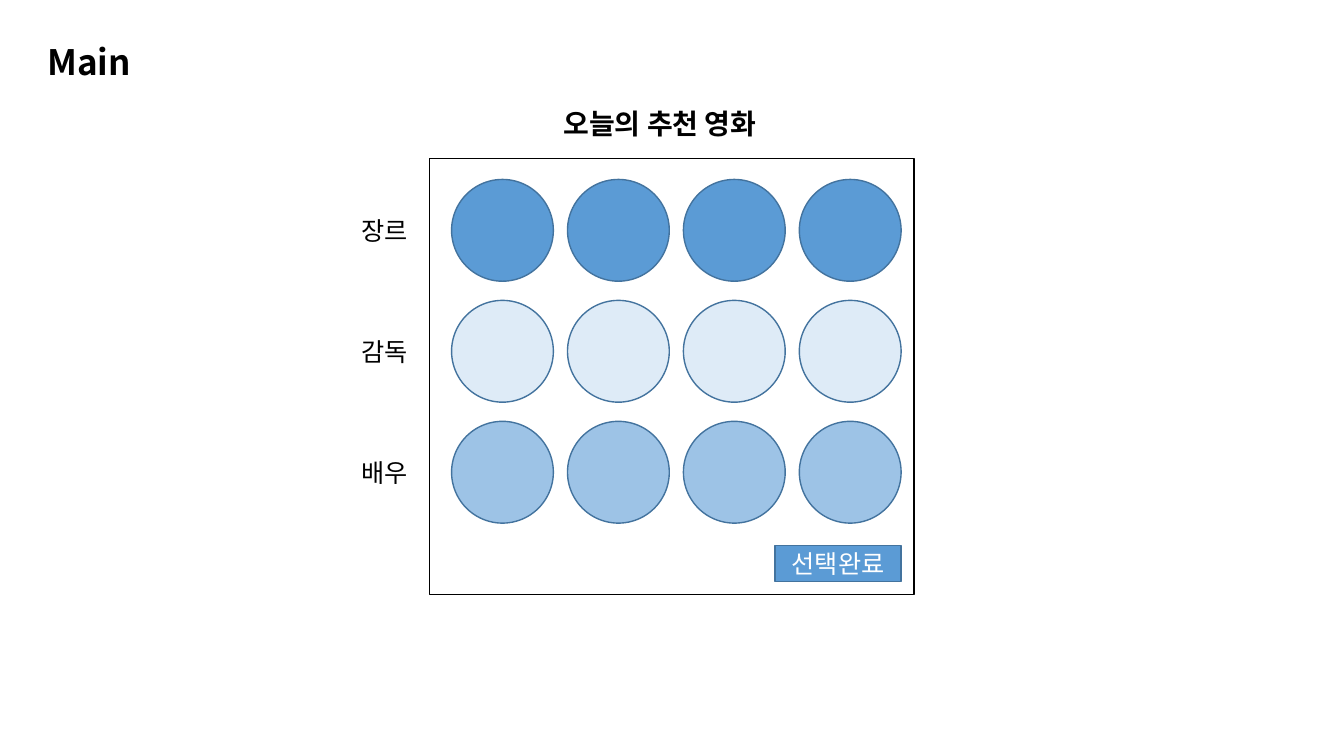
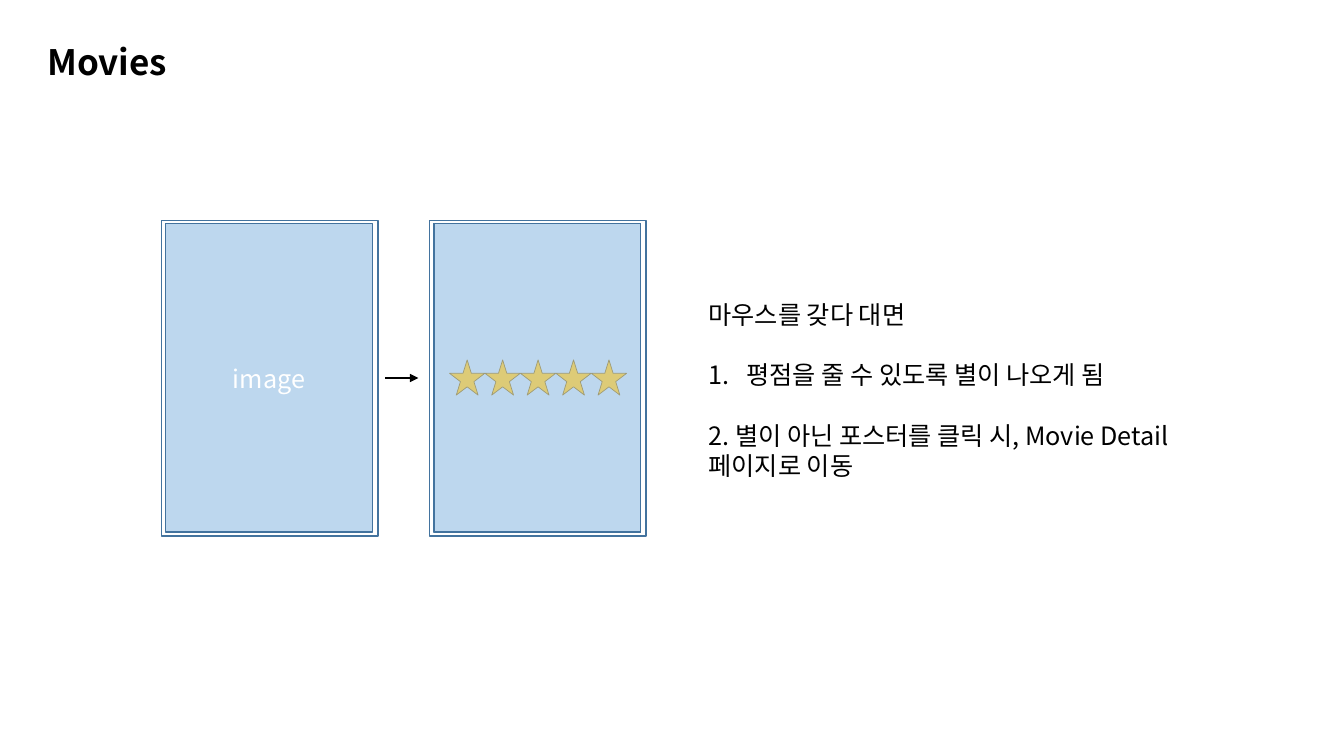
from dataclasses import dataclass

from lxml.etree import SubElement
from pptx import Presentation
from pptx.dml.color import RGBColor
from pptx.enum.shapes import MSO_CONNECTOR, MSO_SHAPE
from pptx.enum.text import MSO_ANCHOR, MSO_AUTO_SIZE, PP_ALIGN
from pptx.oxml.ns import qn
from pptx.util import Inches, Pt


@dataclass(frozen=True)
class Theme:
    """Hold the grid, colours, font and type sizes of the deck."""
    columns: int = 160
    rows: int = 90
    cell: int = Inches(1) // 12
    font: str = "Noto Sans CJK KR"
    ink: str = "000000"
    paper: str = "FFFFFF"
    outline: str = "43739E"
    strong: str = "5B9BD5"
    medium: str = "9DC3E6"
    pale: str = "DEEBF7"
    poster: str = "BDD7EE"
    star: str = "FFC000"
    star_outline: str = "806000"
    title_size: float = 25
    heading_size: float = 20
    body_size: float = 18
    paragraph_gap: float = 21.6


THEME = Theme()


def write(frame, *lines, size=THEME.body_size, color=THEME.ink, bold=False,
          align=PP_ALIGN.LEFT, anchor=MSO_ANCHOR.TOP):
    """Write each line as a paragraph and return the paragraphs."""
    frame.word_wrap = True
    frame.auto_size = MSO_AUTO_SIZE.NONE
    frame.vertical_anchor = anchor
    for index, line in enumerate(lines):
        para = frame.paragraphs[0] if index == 0 else frame.add_paragraph()
        para.alignment = align
        span = para.add_run()
        span.text = line
        span.font.size = Pt(size)
        span.font.bold = bold
        span.font.color.rgb = RGBColor.from_string(color)
        span.font.name = THEME.font
        SubElement(span._r.get_or_add_rPr(), qn("a:ea"), typeface=THEME.font)
    return frame.paragraphs


class Sketch:
    """Draw elements on the current slide, measured in square grid cells."""

    def __init__(self, theme):
        """Start an empty deck of the grid's size."""
        self.theme = theme
        self.deck = Presentation()
        self.deck.slide_width = theme.columns * theme.cell
        self.deck.slide_height = theme.rows * theme.cell
        self.page = None

    def scale(self, *cells):
        """Turn grid cells into slide units."""
        return [round(count * self.theme.cell) for count in cells]

    def add_page(self, title):
        """Add a slide with its title."""
        self.page = self.deck.slides.add_slide(self.deck.slide_layouts[5])
        box = self.page.shapes.title
        box.left, box.top, box.width, box.height = self.scale(4.44, 4.2, 40, 6.24)
        write(box.text_frame, title, size=self.theme.title_size, bold=True)

    def text(self, at, *lines, **style):
        """Add a text box and return its paragraphs."""
        box = self.page.shapes.add_textbox(*self.scale(*at))
        return write(box.text_frame, *lines, **style)

    def shape(self, kind, at, fill, line=THEME.outline, weight=1, opacity=100, label=None):
        """Add a filled, outlined shape with an optional centred label."""
        box = self.page.shapes.add_shape(kind, *self.scale(*at))
        box.shadow.inherit = False
        box.fill.solid()
        box.fill.fore_color.rgb = RGBColor.from_string(fill)
        box.line.color.rgb = RGBColor.from_string(line)
        box.line.width = Pt(weight)
        if opacity < 100:
            color = box._element.spPr.find(qn("a:solidFill"))[0]
            SubElement(color, qn("a:alpha"), val=str(opacity * 1000))
        if label:
            write(box.text_frame, label, color=self.theme.paper,
                  align=PP_ALIGN.CENTER, anchor=MSO_ANCHOR.MIDDLE)

    def arrow(self, *ends):
        """Add a straight arrow from one point to another."""
        line = self.page.shapes.add_connector(MSO_CONNECTOR.STRAIGHT, *self.scale(*ends))
        line.line.color.rgb = RGBColor.from_string(self.theme.ink)
        line.line.width = Pt(1.25)
        SubElement(line.line._get_or_add_ln(), qn("a:tailEnd"), type="triangle")
        SubElement(line._element.spPr, qn("a:effectLst"))

    def number(self, para, indent):
        """Give a paragraph an automatic number with a hanging indent."""
        width = self.scale(indent)[0]
        properties = para._p.get_or_add_pPr()
        properties.set("marL", str(width))
        properties.set("indent", str(-width))
        SubElement(properties, qn("a:buFont"), typeface=self.theme.font)
        SubElement(properties, qn("a:buAutoNum"), type="arabicPeriod")


def build_main(sketch):
    """Draw the recommendation picker."""
    theme = sketch.theme
    sketch.add_page("Main")
    sketch.shape(MSO_SHAPE.RECTANGLE, (51.12, 18.84, 57.72, 51.96), theme.paper, line=theme.ink)
    sketch.text((65.88, 12.12, 30, 5.28), "오늘의 추천 영화", size=theme.heading_size, bold=True)
    choices = [("장르", theme.strong), ("감독", theme.pale), ("배우", theme.medium)]
    for row, (name, fill) in enumerate(choices):
        top = 21.36 + 14.4 * row
        sketch.text((41.88, top + 3.66, 8.76, 4.8), name)
        for column in range(4):
            sketch.shape(MSO_SHAPE.OVAL, (53.76 + 13.8 * column, top, 12.12, 12.12), fill)
    sketch.shape(MSO_SHAPE.RECTANGLE, (92.28, 64.92, 15, 4.32), theme.strong, label="선택완료")


def build_movies(sketch):
    """Draw the poster before and after the mouse moves over it."""
    theme = sketch.theme
    sketch.add_page("Movies")
    for left, label in ((19.2, "image"), (51.12, None)):
        poster = (left + 0.54, 26.64, 24.6, 36.72)
        sketch.shape(MSO_SHAPE.RECTANGLE, (left, 26.28, 25.8, 37.56), theme.paper)
        sketch.shape(MSO_SHAPE.RECTANGLE, poster, theme.poster, label=label)
    for index in range(5):
        sketch.shape(MSO_SHAPE.STAR_5_POINT, (53.52 + 4.22 * index, 42.84, 4.2, 4.2),
                     theme.star, line=theme.star_outline, weight=0.5)
    sketch.shape(MSO_SHAPE.RECTANGLE, poster, theme.poster, opacity=50)
    paras = sketch.text((83.16, 35.04, 62.52, 23.04), "마우스를 갖다 대면",
                        "평점을 줄 수 있도록 별이 나오게 됨",
                        "2. 별이 아닌 포스터를 클릭 시, Movie Detail", "페이지로 이동")
    for para in paras[1:3]:
        para.space_before = Pt(theme.paragraph_gap)
    sketch.number(paras[1], 4.5)
    sketch.arrow(45.84, 45, 49.8, 45)


sketch = Sketch(THEME)
build_main(sketch)
build_movies(sketch)
sketch.deck.save("out.pptx")
